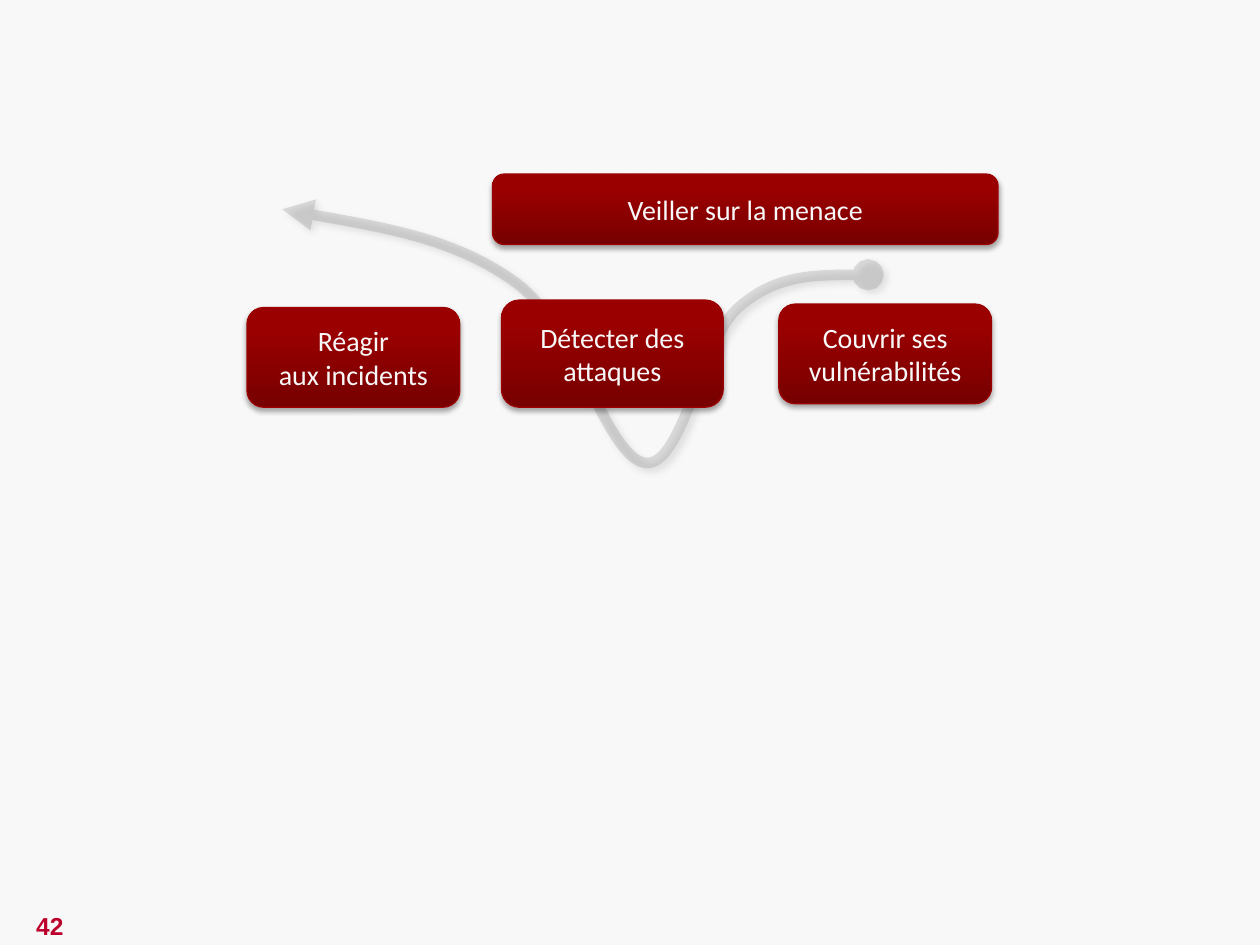
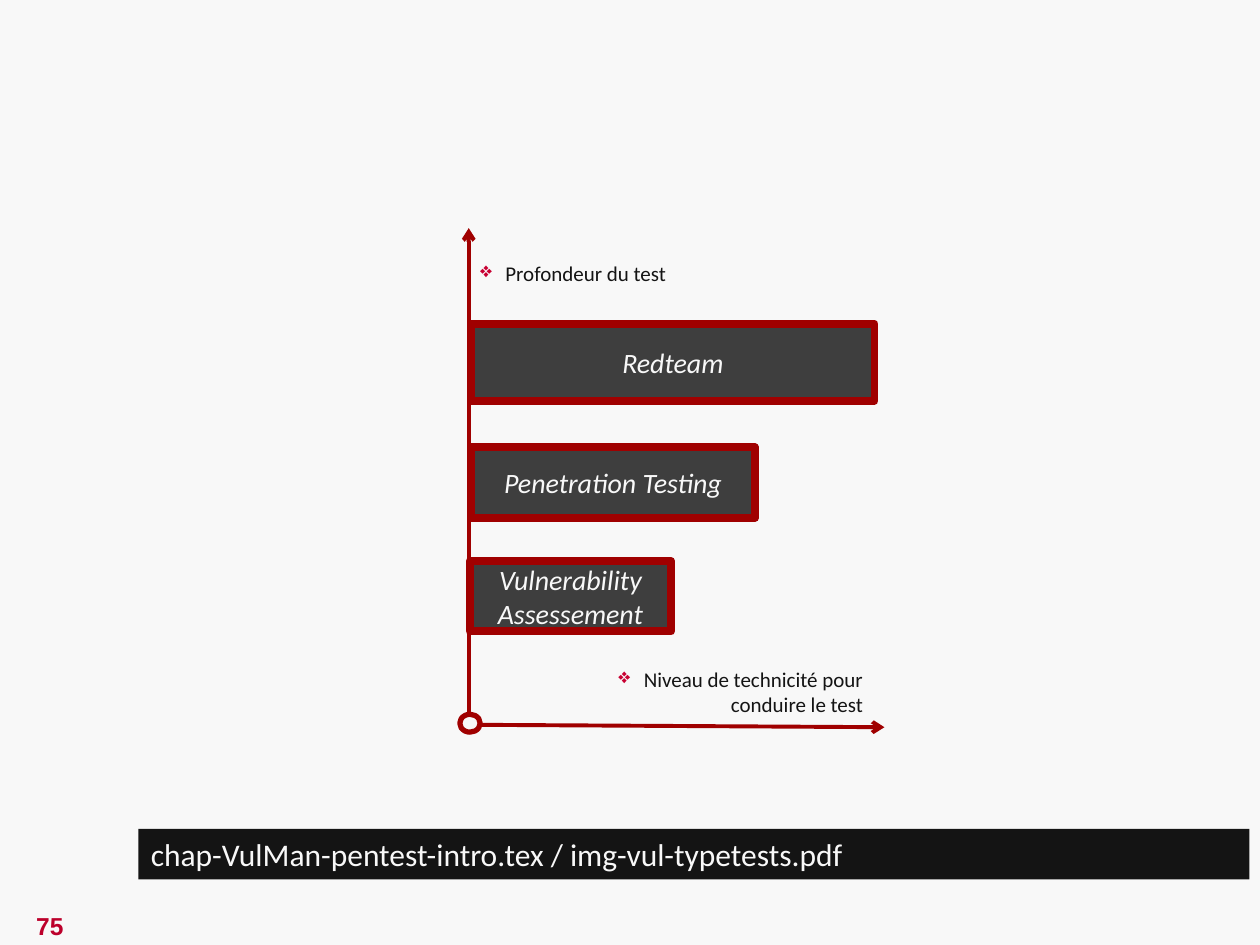
from collections import namedtuple
from copy import deepcopy

from lxml.etree import SubElement
from pptx import Presentation
from pptx.dml.color import RGBColor
from pptx.enum.shapes import MSO_CONNECTOR, MSO_SHAPE
from pptx.enum.text import MSO_ANCHOR, PP_ALIGN
from pptx.oxml.ns import qn
from pptx.util import Cm, Pt

# Shared colours and measures
PAPER = RGBColor(0xF8, 0xF8, 0xF8)
INK = RGBColor(0x14, 0x14, 0x14)
CHARCOAL = RGBColor(0x3E, 0x3E, 0x3E)
GREY = RGBColor(0x7C, 0x7C, 0x7C)
CRIMSON = RGBColor(0xBC, 0x00, 0x2B)
BULLET_RED = RGBColor(0xC8, 0x00, 0x32)
AXIS_RED = RGBColor(0xA0, 0x00, 0x00)
EDGE_RED = RGBColor(0x9C, 0x00, 0x00)
RED_STOPS = [(0, RGBColor(0x77, 0x00, 0x00)),
             (0.8, RGBColor(0x9B, 0x00, 0x00)),
             (1, EDGE_RED)]
BODY_FONT = "Calibri"
WIDE_INSETS = (0.25, 0.13)
TIGHT_INSETS = (0.18, 0.09)

Box = namedtuple("Box", "left top width height")  # centimetres


def inside(region, left, top, width, height):
    """Turn a place relative to a region into a place on the page."""
    return Box(region.left + left, region.top + top, width, height)


# Text
def set_up_frame(shape, insets, anchor=MSO_ANCHOR.TOP):
    frame = shape.text_frame
    frame.word_wrap = True
    frame.vertical_anchor = anchor
    frame.margin_left = frame.margin_right = Cm(insets[0])
    frame.margin_top = frame.margin_bottom = Cm(insets[1])
    return frame


def add_span(para, text, size, color, name=BODY_FONT, bold=False, italic=False):
    span = para.add_run()
    span.text = text
    span.font.size = Pt(size)
    span.font.name = name
    span.font.color.rgb = color
    span.font.bold = bold
    span.font.italic = italic


def add_centred_lines(frame, lines, size, **style):
    for index, line in enumerate(lines):
        para = frame.add_paragraph() if index else frame.paragraphs[0]
        para.alignment = PP_ALIGN.CENTER
        add_span(para, line, size, PAPER, **style)


def add_text_box(page, box, insets, anchor=MSO_ANCHOR.TOP):
    shape = page.shapes.add_textbox(*map(Cm, box))
    return set_up_frame(shape, insets, anchor)


# Shapes and effects
def add_shape(page, kind, box, fill=None, edge=None, weight=0):
    shape = page.shapes.add_shape(kind, *map(Cm, box))
    shape.shadow.inherit = False
    if fill is not None:
        shape.fill.solid()
        shape.fill.fore_color.rgb = fill
    if edge is None:
        shape.line.fill.background()
    else:
        shape.line.color.rgb = edge
        shape.line.width = Pt(weight)
    return shape


def add_alpha(color_element, percent):
    SubElement(color_element, qn("a:alpha"), val=str(percent * 1000))


def cast_shadow(shape, opacity, blur, distance, angle):
    shape.shadow.inherit = False
    effects = shape._element.spPr.find(qn("a:effectLst"))
    shadow = SubElement(effects, qn("a:outerShdw"), blurRad=str(Pt(blur)),
                        dist=str(Pt(distance)), dir=str(angle * 60000),
                        algn="ctr", rotWithShape="0")
    add_alpha(SubElement(shadow, qn("a:srgbClr"), val="000000"), opacity)


def set_line_end(shape, end, kind):
    SubElement(shape.line._get_or_add_ln(), qn(f"a:{end}"), type=kind)


def fill_with_red_gradient(shape):
    shape.fill.gradient()
    shape.fill.gradient_angle = 90
    stop_list = shape._element.spPr.find(f".//{qn('a:gsLst')}")
    stop_list.append(deepcopy(stop_list[-1]))
    for stop, (position, color) in zip(shape.fill.gradient_stops, RED_STOPS):
        stop.position = position
        stop.color.rgb = color


# Parts shared by both slides
def add_page(deck, number):
    page = deck.slides.add_slide(deck.slide_layouts[6])
    page.background.fill.solid()
    page.background.fill.fore_color.rgb = PAPER
    frame = add_text_box(page, Box(-0.05, 18.24, 2.11, 0.86), WIDE_INSETS,
                         MSO_ANCHOR.MIDDLE)
    para = frame.paragraphs[0]
    para.alignment = PP_ALIGN.CENTER
    add_span(para, number, 14, CRIMSON, name="Arial", bold=True)
    return page


# Slide 1: security activities along a curved arrow
def add_curved_arrow(page, region):
    # Start point, then two control points and an end point per curve
    points = [(12.52, 2.03),
              (11.61, 2.03), (10.67, 2.03), (9.93, 2.67),
              (9.17, 3.28), (8.79, 5.92), (8.03, 5.82),
              (7.26, 5.74), (6.6, 3.0), (5.38, 2.16),
              (4.17, 1.3), (2.44, 1.02), (0.71, 0.71)]
    places = [(Cm(region.left + x), Cm(region.top + y)) for x, y in points]
    builder = page.shapes.build_freeform(*places[0])
    builder.add_line_segments(places[1:], close=False)
    arrow = builder.convert_to_shape()

    # Merge each three straight segments into one Bézier curve
    outline = arrow._element.spPr.find(f".//{qn('a:path')}")
    segments = outline.findall(qn("a:lnTo"))
    for first in range(0, len(segments), 3):
        curve = SubElement(outline, qn("a:cubicBezTo"))
        for segment in segments[first:first + 3]:
            curve.append(segment[0])
            outline.remove(segment)

    arrow.fill.background()
    arrow.line.color.rgb = GREY
    arrow.line.width = Pt(6)
    add_alpha(arrow.line._get_or_add_ln().find(f".//{qn('a:srgbClr')}"), 24)
    set_line_end(arrow, "headEnd", "oval")
    set_line_end(arrow, "tailEnd", "triangle")
    cast_shadow(arrow, 40, 4, 3, 45)


def add_activity(page, box, lines):
    activity = add_shape(page, MSO_SHAPE.ROUNDED_RECTANGLE, box,
                         edge=EDGE_RED, weight=0.75)
    fill_with_red_gradient(activity)
    cast_shadow(activity, 35, 3.1, 1.8, 90)
    frame = set_up_frame(activity, TIGHT_INSETS, MSO_ANCHOR.MIDDLE)
    add_centred_lines(frame, lines, 16)


def add_activities(page, region):
    add_curved_arrow(page, region)
    activities = [
        ((5.13, 2.54, 4.47, 2.16), ["Détecter des attaques"]),
        ((0, 2.69, 4.29, 2.01), ["Réagir", "aux incidents"]),
        ((4.95, 0, 10.19, 1.42), ["Veiller sur la menace"]),
        ((10.72, 2.62, 4.29, 2.01), ["Couvrir ses vulnérabilités"]),
    ]
    for place, lines in activities:
        add_activity(page, inside(region, *place), lines)


# Slide 2: kinds of test by depth and skill
def add_axis(page, start, end):
    axis = page.shapes.add_connector(MSO_CONNECTOR.STRAIGHT,
                                     *map(Cm, start + end))
    axis.line.color.rgb = AXIS_RED
    axis.line.width = Pt(2.25)
    set_line_end(axis, "tailEnd", "arrow")
    SubElement(axis._element.spPr, qn("a:effectLst"))


def add_axis_label(page, box, lines, alignment):
    para = add_text_box(page, box, TIGHT_INSETS).paragraphs[0]
    para.alignment = alignment
    properties = para._p.get_or_add_pPr()
    properties.set("marL", str(Cm(0.51)))
    properties.set("indent", str(-Cm(0.51)))
    bullet_color = SubElement(properties, qn("a:buClr"))
    SubElement(bullet_color, qn("a:srgbClr"), val=str(BULLET_RED))
    SubElement(properties, qn("a:buChar"), char="❖")
    for index, line in enumerate(lines):
        if index:
            para.add_line_break()
        add_span(para, line, 12, INK)


def add_test_chart(page, region):
    bottom = region.top + region.height
    right = region.left + region.width
    add_axis(page, (region.left, bottom - 0.05), (right, bottom))
    add_axis(page, (region.left + 0.03, bottom - 0.05),
             (region.left + 0.03, region.top))

    bars = [
        ((0.08, 1.93, 8.13, 1.55), "Redteam"),
        ((0.08, 4.42, 5.72, 1.42), "Penetration Testing"),
        ((0.05, 6.71, 4.06, 1.42), "Vulnerability Assessement"),
    ]
    for place, name in bars:
        bar = add_shape(page, MSO_SHAPE.ROUNDED_RECTANGLE,
                        inside(region, *place), CHARCOAL, AXIS_RED, 4.5)
        bar.adjustments[0] = 0
        frame = set_up_frame(bar, WIDE_INSETS, MSO_ANCHOR.MIDDLE)
        add_centred_lines(frame, [name], 16, italic=True)

    add_axis_label(page, inside(region, 0.08, 0.56, 7.14, 0.74),
                   ["Profondeur du test"], PP_ALIGN.LEFT)
    add_axis_label(page, inside(region, 1.02, 8.74, 7.14, 1.35),
                   ["Niveau de technicité pour", "conduire le test"],
                   PP_ALIGN.RIGHT)
    add_shape(page, MSO_SHAPE.OVAL, inside(region, -0.15, 9.8, 0.41, 0.36),
              PAPER, AXIS_RED, 3)


def add_file_strip(page, box, text):
    strip = add_shape(page, MSO_SHAPE.RECTANGLE, box, INK)
    para = set_up_frame(strip, WIDE_INSETS).paragraphs[0]
    para.alignment = PP_ALIGN.LEFT
    add_span(para, text, 18, PAPER)


def main():
    deck = Presentation()
    deck.slide_width, deck.slide_height = Cm(25.4), Cm(19.05)

    page = add_page(deck, "42")
    add_activities(page, Box(4.98, 3.51, 15.14, 5.92))

    page = add_page(deck, "75")
    add_test_chart(page, Box(9.42, 4.6, 8.41, 10.06))
    add_file_strip(page, Box(2.79, 16.71, 22.4, 1.02),
                   "chap-VulMan-pentest-intro.tex / img-vul-typetests.pdf")

    deck.save("out.pptx")


if __name__ == "__main__":
    main()
